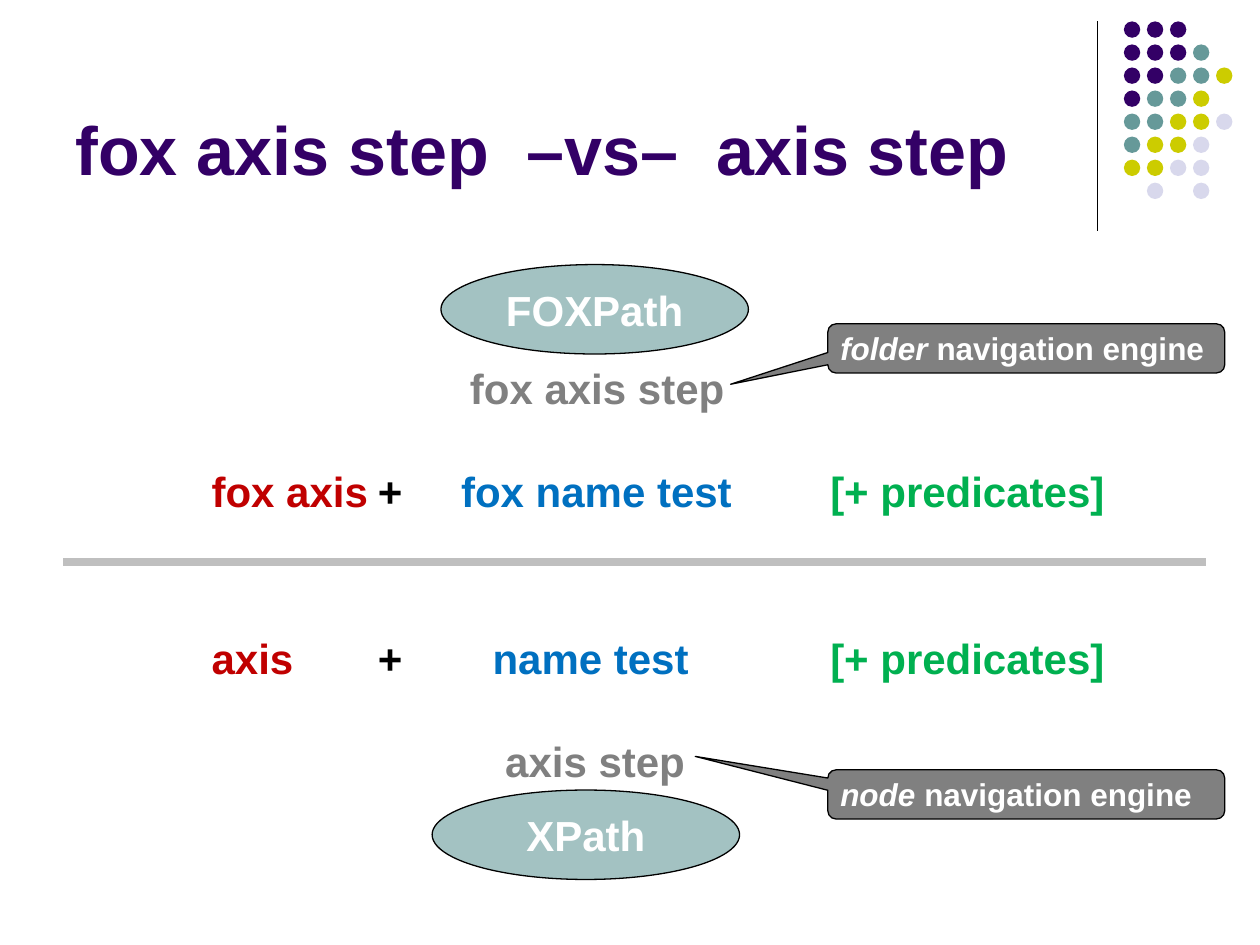
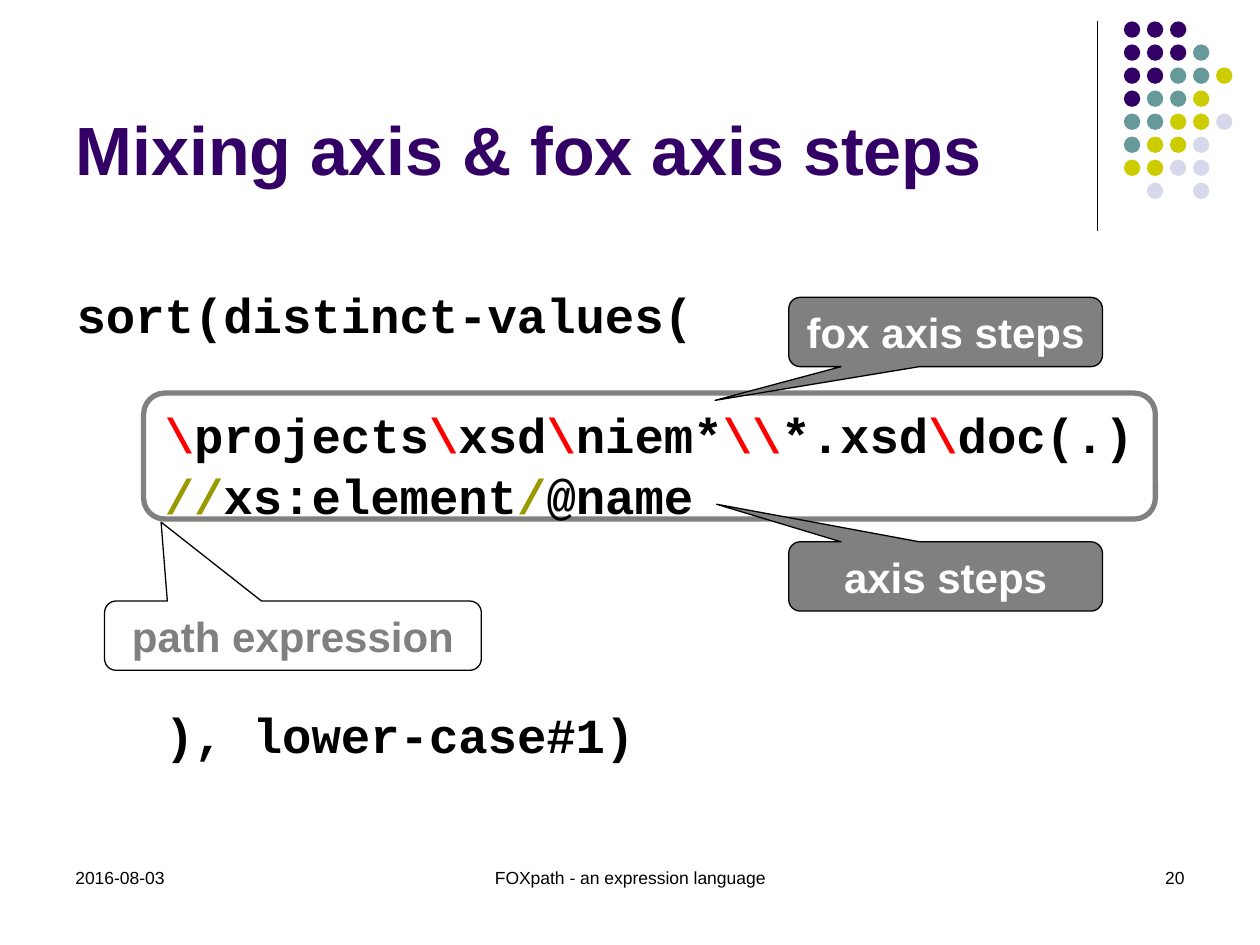
from dataclasses import dataclass
from itertools import groupby

from lxml import etree
from pptx import Presentation
from pptx.dml.color import RGBColor
from pptx.enum.shapes import MSO_CONNECTOR, MSO_SHAPE
from pptx.enum.text import MSO_ANCHOR, PP_ALIGN
from pptx.oxml.ns import qn
from pptx.util import Inches, Pt

LEFT, CENTER, RIGHT = PP_ALIGN.LEFT, PP_ALIGN.CENTER, PP_ALIGN.RIGHT
TOP, MIDDLE, BOTTOM = MSO_ANCHOR.TOP, MSO_ANCHOR.MIDDLE, MSO_ANCHOR.BOTTOM
OVAL, ROUNDED = MSO_SHAPE.OVAL, MSO_SHAPE.ROUNDED_RECTANGLE
CALLOUT = MSO_SHAPE.ROUNDED_RECTANGULAR_CALLOUT
STRAIGHT = MSO_CONNECTOR.STRAIGHT


@dataclass(frozen=True)
class Theme:
    sans: str = "Arial"
    mono: str = "Courier New"
    black: str = "000000"
    white: str = "FFFFFF"
    purple: str = "330066"
    teal: str = "669999"
    pale_teal: str = "A3C2C2"
    lime: str = "CCCC00"
    lavender: str = "D8D8EC"
    gray: str = "808080"
    rule: str = "BFBFBF"
    axis: str = "C00000"
    name_test: str = "0070C0"
    predicates: str = "00B050"
    fox_separator: str = "FF0000"
    node_separator: str = "999900"
    title_size: int = 39
    code_size: int = 28
    label_size: int = 24
    note_size: int = 18
    footer_size: int = 10


THEME = Theme()
DOT_COLORS = {"P": THEME.purple, "T": THEME.teal, "Y": THEME.lime, "L": THEME.lavender}
DOT_ROWS = ["PPP", "PPPT", "PPTTY", "PTTY", "TTYYL", "TYYL", "YYLL", ".L.L"]
SEPARATOR_COLORS = {"\\": THEME.fox_separator, "/": THEME.node_separator}


# Shared helpers
def box_inches(box):
    return [Inches(length) for length in box]


def write(paragraph, text, *, size, color=THEME.black, font=THEME.sans, bold=True,
          italic=False, align=None):
    """Append one formatted run to a paragraph."""
    run = paragraph.add_run()
    run.text = text
    run.font.name = font
    run.font.size = Pt(size)
    run.font.bold = bold
    run.font.italic = italic
    run.font.color.rgb = RGBColor.from_string(color)
    if align is not None:
        paragraph.alignment = align


def set_frame(frame, anchor=TOP, left=0.1, right=0.1, top=0.05):
    frame.word_wrap = True
    frame.vertical_anchor = anchor
    frame.margin_left, frame.margin_right = Inches(left), Inches(right)
    frame.margin_top, frame.margin_bottom = Inches(top), Inches(0.05)


def add_frame(slide, box, **format):
    frame = slide.shapes.add_textbox(*box_inches(box)).text_frame
    set_frame(frame, **format)
    return frame


def add_panel(shapes, kind, box, fill, line=None, width=0.75):
    panel = shapes.add_shape(kind, *box_inches(box))
    panel.shadow.inherit = False
    panel.fill.solid()
    panel.fill.fore_color.rgb = RGBColor.from_string(fill)
    if line:
        panel.line.color.rgb = RGBColor.from_string(line)
        panel.line.width = Pt(width)
    else:
        panel.line.fill.background()
    return panel


def add_rule(slide, start, end, color, width):
    rule = slide.shapes.add_connector(STRAIGHT, *box_inches(start + end))
    rule.line.color.rgb = RGBColor.from_string(color)
    rule.line.width = Pt(width)
    properties = rule.line._get_or_add_ln().getparent()
    etree.SubElement(properties, qn("a:effectLst"))


def set_tabs(paragraph, stops):
    tab_list = etree.SubElement(paragraph._p.get_or_add_pPr(), qn("a:tabLst"))
    for stop in stops:
        etree.SubElement(tab_list, qn("a:tab"), pos=str(Inches(stop)), algn="l")


# Parts found on every slide
def add_dots(slide, left, top):
    dots = slide.shapes.add_group_shape().shapes
    pitch, size = 1.28 / 7, 0.13
    for row, pattern in enumerate(DOT_ROWS):
        for column, key in enumerate(pattern):
            if key in DOT_COLORS:
                box = (left + column * pitch, top + row * pitch, size, size)
                add_panel(dots, OVAL, box, DOT_COLORS[key])


def add_titled_slide(deck, heading):
    slide = deck.slides.add_slide(deck.slide_layouts[5])
    add_rule(slide, (8.71, 0.17), (8.71, 1.83), THEME.black, 0.75)
    add_dots(slide, 8.92, 0.17)
    title = slide.shapes.title
    title.left, title.top, title.width, title.height = box_inches((0.5, 0.13, 8.25, 1.42))
    set_frame(title.text_frame, anchor=BOTTOM)
    write(title.text_frame.paragraphs[0], heading, size=THEME.title_size,
          color=THEME.purple, align=LEFT)
    return slide


def add_footer(slide, left, top, date, topic, number):
    parts = [(0, 2.33, date, LEFT), (2.69, 3.62, topic, CENTER), (6.67, 2.33, number, RIGHT)]
    for offset, width, text, align in parts:
        frame = add_frame(slide, (left + offset, top, width, 0.5))
        write(frame.paragraphs[0], text, size=THEME.footer_size, bold=False, align=align)


def add_callout(slide, box, pointer, text, *, emphasis="", size=THEME.label_size,
                fill=THEME.gray, color=THEME.white, align=CENTER):
    callout = add_panel(slide.shapes, CALLOUT, box, fill, THEME.black)
    callout.adjustments[0], callout.adjustments[1] = pointer
    set_frame(callout.text_frame, anchor=MIDDLE, left=0.08, right=0.08)
    paragraph = callout.text_frame.paragraphs[0]
    if emphasis:
        write(paragraph, emphasis, size=size, color=color, italic=True)
    write(paragraph, text, size=size, color=color, align=align)


# Comparison slide
def add_language(slide, box, name):
    oval = add_panel(slide.shapes, OVAL, box, THEME.pale_teal, THEME.black)
    set_frame(oval.text_frame, anchor=MIDDLE)
    write(oval.text_frame.paragraphs[0], name, size=THEME.label_size,
          color=THEME.white, align=CENTER)


def write_step(paragraph, step, stop):
    set_tabs(paragraph, [stop])
    write(paragraph, "\t" + step, size=THEME.label_size, color=THEME.gray)


def write_formula(paragraph, axis, name_test, stop):
    set_tabs(paragraph, [1.32, stop, 4.91])
    for text, color in [(axis, THEME.axis), ("\t+", THEME.black),
                        ("\t" + name_test, THEME.name_test),
                        ("\t[+ predicates]", THEME.predicates)]:
        write(paragraph, text, size=THEME.label_size, color=color)


def add_grammar(slide, box, step, formula, step_first):
    """Stack a step name and its formula, in either order."""
    frame = add_frame(slide, box, left=1.18, top=0.07)
    first, second = frame.paragraphs[0], frame.add_paragraph()
    second.space_before = Pt(30)
    step_line, formula_line = (first, second) if step_first else (second, first)
    write_step(step_line, *step)
    write_formula(formula_line, *formula)


def build_comparison(deck):
    slide = add_titled_slide(deck, "fox axis step  –vs–  axis step")
    add_language(slide, (3.43, 6.27, 2.44, 0.71), "XPath")
    add_language(slide, (3.5, 2.1, 2.44, 0.71), "FOXPath")
    add_grammar(slide, (0.5, 2.81, 8.46, 1.72), ("fox axis step", 2.05),
                ("fox axis", "fox name test", 1.98), step_first=True)
    add_grammar(slide, (0.5, 4.95, 8.46, 1.72), ("axis step", 2.33),
                ("axis", "name test", 2.23), step_first=False)
    for top, pointer, kind in [(2.57, (-0.745, 0.73), "folder "),
                               (6.11, (-0.834, -0.774), "node ")]:
        add_callout(slide, (6.57, top, 3.15, 0.39), pointer, "navigation engine",
                    emphasis=kind, size=THEME.note_size, align=LEFT)
    add_rule(slide, (0.5, 4.46), (9.57, 4.46), THEME.rule, 5)


# Code slide
def add_code(slide, box, lines):
    """Write code lines given as (text, indent in inches, space before in points)."""
    frame = add_frame(slide, box, top=0.08)
    for index, (code, indent, space) in enumerate(lines):
        paragraph = frame.add_paragraph() if index else frame.paragraphs[0]
        paragraph.space_before = Pt(space)
        paragraph._p.get_or_add_pPr().set("marL", str(Inches(indent)))
        for color, letters in groupby(code, lambda c: SEPARATOR_COLORS.get(c, THEME.black)):
            write(paragraph, "".join(letters), size=THEME.code_size, color=color,
                  font=THEME.mono)


def build_mixing(deck):
    slide = add_titled_slide(deck, "Mixing axis & fox axis steps")
    add_panel(slide.shapes, ROUNDED, (1.14, 3.12, 8.03, 1), THEME.white, THEME.gray, 3)
    add_footer(slide, 0.5, 6.83, "2016-08-03", "FOXpath - an expression language", "20")
    add_code(slide, (0.51, 2.18, 8.89, 3.87), [
        ("sort(distinct-values(", 0, 0),
        (r"\projects\xsd\niem*\\*.xsd\doc(.)", 0.7, 34.6),
        ("//xs:element/@name", 0.7, 1.6),
        ("), lower-case#1)", 0.7, 102.6),
    ])
    add_callout(slide, (6.26, 4.3, 2.49, 0.55), (-0.73, -1.042), "axis steps")
    add_callout(slide, (6.26, 2.36, 2.49, 0.55), (-0.735, 0.987), "fox axis steps")
    add_callout(slide, (0.83, 4.77, 2.99, 0.55), (-0.35, -1.639), "path expression",
                fill=THEME.white, color=THEME.gray)


def main():
    deck = Presentation()
    deck.slide_width, deck.slide_height = Inches(10), Inches(7.5)
    build_comparison(deck)
    build_mixing(deck)
    deck.save("out.pptx")


if __name__ == "__main__":
    main()
